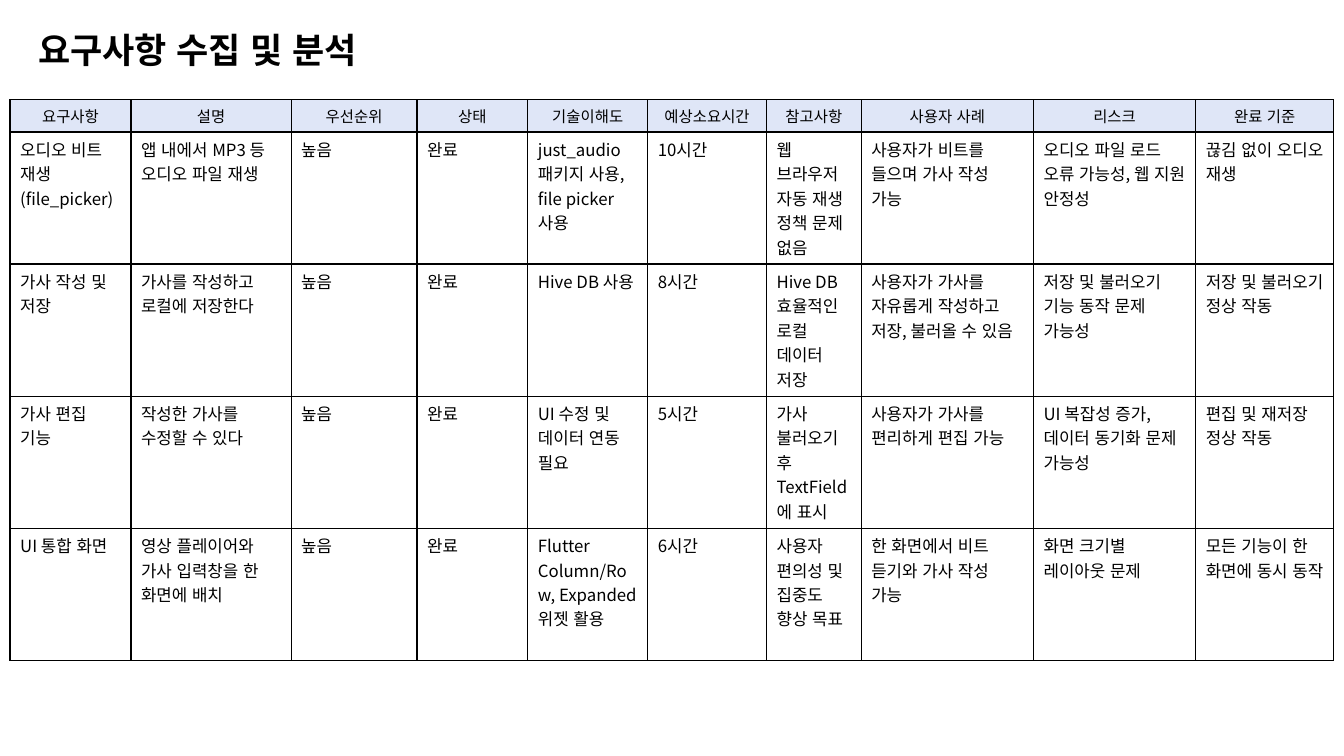
from dataclasses import dataclass

from lxml import etree
from pptx import Presentation
from pptx.dml.color import RGBColor
from pptx.enum.lang import MSO_LANGUAGE_ID
from pptx.enum.text import MSO_ANCHOR, PP_ALIGN
from pptx.oxml.ns import qn
from pptx.util import Inches, Pt

KOREAN = MSO_LANGUAGE_ID.KOREAN
MIDDLE = MSO_ANCHOR.MIDDLE
LEFT, CENTER = PP_ALIGN.LEFT, PP_ALIGN.CENTER


@dataclass(frozen=True)
class Theme:
    font: str = "Noto Sans CJK KR"
    text: str = "000000"
    border: str = "000000"
    header_fill: str = "DFE6F7"
    body_fill: str = "FFFFFF"
    title_size: int = 25
    header_size: int = 11
    body_size: int = 12
    border_width: int = 1


THEME = Theme()

TITLE = "요구사항 수집 및 분석"
COLUMN_WIDTHS = [1.2, 1.59, 1.25, 1.1, 1.19, 1.18, 0.94, 1.71, 1.61, 1.37]
HEADER_HEIGHT, BODY_HEIGHT = 0.32, 1.31
REQUIREMENTS = [
    ["요구사항", "설명", "우선순위", "상태", "기술이해도",
     "예상소요시간", "참고사항", "사용자 사례", "리스크", "완료 기준"],
    ["오디오 비트 재생(file_picker)", "앱 내에서 MP3 등 오디오 파일 재생", "높음", "완료",
     "just_audio 패키지 사용, file picker 사용", "10시간",
     "웹 브라우저 자동 재생 정책 문제 없음", "사용자가 비트를 들으며 가사 작성 가능",
     "오디오 파일 로드 오류 가능성, 웹 지원 안정성", "끊김 없이 오디오 재생"],
    ["가사 작성 및 저장", "가사를 작성하고 로컬에 저장한다", "높음", "완료",
     "Hive DB 사용", "8시간",
     "Hive DB 효율적인 로컬 데이터 저장", "사용자가 가사를 자유롭게 작성하고 저장, 불러올 수 있음",
     "저장 및 불러오기 기능 동작 문제 가능성", "저장 및 불러오기 정상 작동"],
    ["가사 편집 기능", "작성한 가사를 수정할 수 있다", "높음", "완료",
     "UI 수정 및 데이터 연동 필요", "5시간",
     "가사 불러오기 후 TextField에 표시", "사용자가 가사를 편리하게 편집 가능",
     "UI 복잡성 증가, 데이터 동기화 문제 가능성", "편집 및 재저장 정상 작동"],
    ["UI 통합 화면", "영상 플레이어와 가사 입력창을 한 화면에 배치", "높음", "완료",
     "Flutter Column/Row, Expanded 위젯 활용", "6시간",
     "사용자 편의성 및 집중도 향상 목표", "한 화면에서 비트 듣기와 가사 작성 가능",
     "화면 크기별 레이아웃 문제", "모든 기능이 한 화면에 동시 동작"],
]


def write_text(tf, text, size, align=LEFT, bold=False):
    p = tf.paragraphs[0]
    p.text = text
    p.alignment = align
    r = p.runs[0]
    r.font.size = Pt(size)
    r.font.bold = bold
    r.font.name = THEME.font
    r.font.language_id = KOREAN
    r.font.color.rgb = RGBColor.from_string(THEME.text)
    # Hangul takes the East Asian typeface
    etree.SubElement(r.font._element, qn("a:ea"), typeface=THEME.font)


def add_borders(cell):
    tc_pr = cell._tc.get_or_add_tcPr()
    for side in ("a:lnL", "a:lnR", "a:lnT", "a:lnB"):
        ln = etree.SubElement(tc_pr, qn(side), w=str(Pt(THEME.border_width)))
        fill = etree.SubElement(ln, qn("a:solidFill"))
        etree.SubElement(fill, qn("a:srgbClr"), val=THEME.border)


def add_title(s, left, top, width, height):
    tf = s.shapes.add_textbox(
        Inches(left), Inches(top), Inches(width), Inches(height)).text_frame
    tf.word_wrap = True
    tf.vertical_anchor = MIDDLE
    tf.margin_left = Inches(0.18)
    write_text(tf, TITLE, THEME.title_size, bold=True)


def add_requirements(s, left, top, width):
    heights = [HEADER_HEIGHT] + [BODY_HEIGHT] * (len(REQUIREMENTS) - 1)
    table = s.shapes.add_table(
        len(heights), len(COLUMN_WIDTHS), Inches(left), Inches(top),
        Inches(width), Inches(sum(heights))).table
    scale = width / sum(COLUMN_WIDTHS)
    for column, share in zip(table.columns, COLUMN_WIDTHS):
        column.width = Inches(share * scale)
    for i, (height, texts) in enumerate(zip(heights, REQUIREMENTS)):
        table.rows[i].height = Inches(height)
        # Header row is tinted and centred
        if i == 0:
            color, size, align = THEME.header_fill, THEME.header_size, CENTER
        else:
            color, size, align = THEME.body_fill, THEME.body_size, LEFT
        for j, text in enumerate(texts):
            cell = table.cell(i, j)
            add_borders(cell)
            cell.fill.solid()
            cell.fill.fore_color.rgb = RGBColor.from_string(color)
            write_text(cell.text_frame, text, size, align)


def main():
    prs = Presentation()
    prs.slide_width, prs.slide_height = Inches(13.33), Inches(7.5)
    s = prs.slides.add_slide(prs.slide_layouts[6])
    add_title(s, 0.2, 0.15, 4.17, 0.69)
    add_requirements(s, 0.1, 0.99, 13.13)
    prs.save("out.pptx")


if __name__ == "__main__":
    main()
